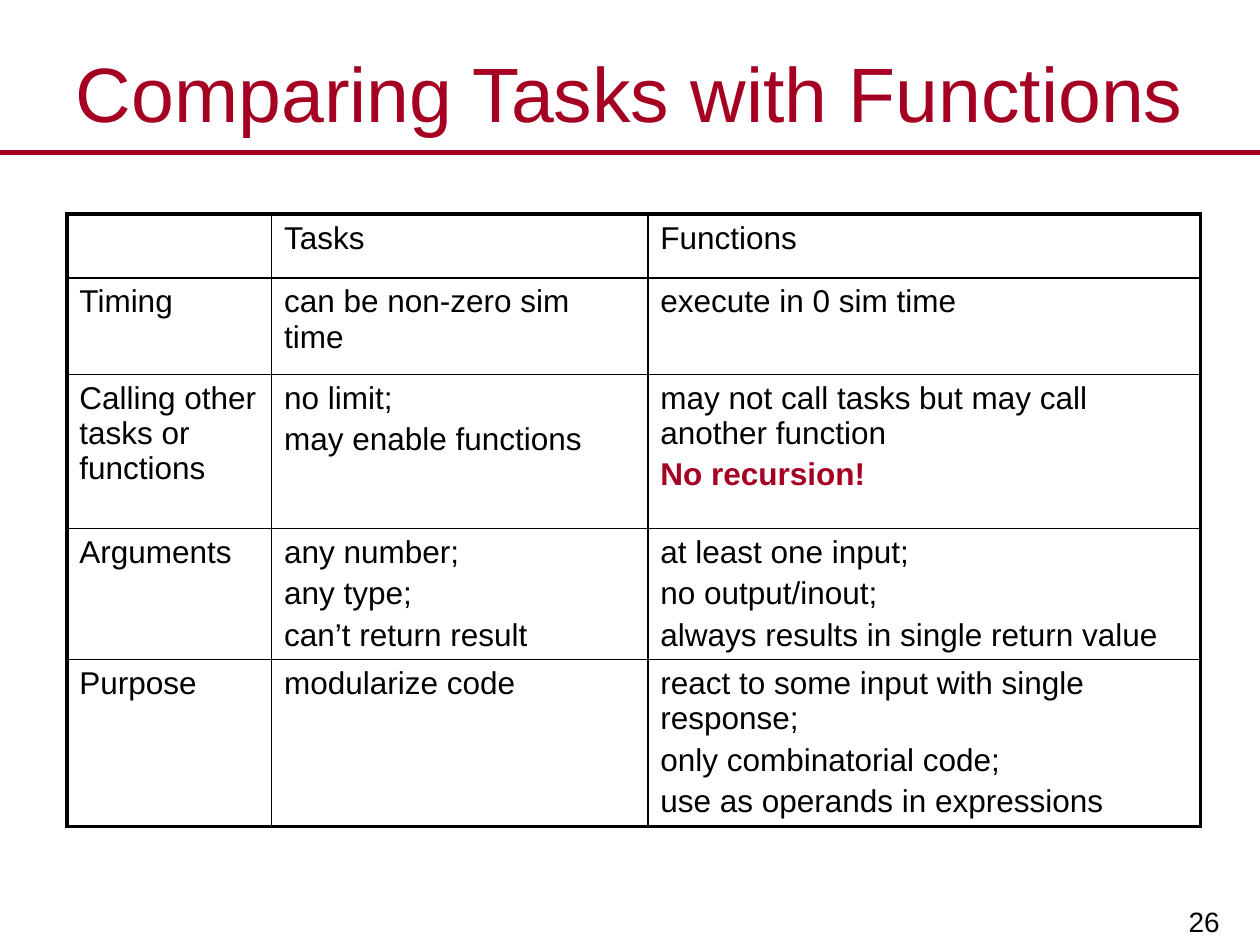
from lxml import etree
from pptx import Presentation, util as u
from pptx.dml.color import RGBColor
from pptx.enum import shapes, text
from pptx.oxml.ns import qn

RED, BLACK, WHITE = "A50021", "000000", "FFFFFF"
TITLE = "Comparing Tasks with Functions"
PAGE = "26"
ALERT = "No recursion!"
ROWS = [
    ("", "Tasks", "Functions"),
    ("Timing", "can be non-zero sim time", "execute in 0 sim time"),
    ("Calling other tasks or functions", "no limit;\nmay enable functions",
     "may not call tasks but may call another function\n" + ALERT),
    ("Arguments", "any number;\nany type;\ncan’t return result",
     "at least one input;\nno output/inout;\nalways results in single return value"),
    ("Purpose", "modularize code",
     "react to some input with single response;\nonly combinatorial code;\n"
     "use as operands in expressions"),
]
WIDTHS = [117, 215, 316]
HEIGHTS = [36.5, 55, 88, 74.5, 95.5]
BODY = {"size": u.Pt(18), "name": "Arial", "bold": False}


def tint(code):
    return RGBColor.from_string(code)


def style(para, hue, **form):
    for key, val in {**BODY, **form}.items():
        setattr(para.font, key, val)
    para.font.color.rgb = tint(hue)


def border(cell, sides):
    props = cell._tc.get_or_add_tcPr()
    for side, width in sides.items():
        line = etree.SubElement(props, qn("a:ln" + side), w=str(u.Pt(width)))
        fill = etree.SubElement(line, qn("a:solidFill"))
        etree.SubElement(fill, qn("a:srgbClr"), val=BLACK)


def write(cell, words):
    cell.text = words
    for num, para in enumerate(cell.text_frame.paragraphs):
        if num:
            para.space_before = u.Pt(3.6)
        alert = para.text == ALERT
        style(para, RED if alert else BLACK, bold=alert)


def grid(slide):
    size = len(ROWS), len(WIDTHS)
    frame = slide.shapes.add_table(*size, u.Pt(38.2), u.Pt(122.4),
                                   u.Pt(sum(WIDTHS)), u.Pt(sum(HEIGHTS)))
    table = frame.table
    table.first_row = table.horz_banding = False
    for col, width in zip(table.columns, WIDTHS):
        col.width = u.Pt(width)
    for r, (row, high) in enumerate(zip(ROWS, HEIGHTS)):
        table.rows[r].height = u.Pt(high)
        for c, words in enumerate(row):
            cell = table.cell(r, c)
            edges = {"L": c == 0, "R": c == size[1] - 1,
                     "T": r == 0, "B": r == size[0] - 1}
            border(cell, {k: 2.25 if edge else 1 for k, edge in edges.items()})
            cell.fill.solid()
            cell.fill.fore_color.rgb = tint(WHITE)
            write(cell, words)


def head(slide):
    rule = slide.shapes.add_connector(shapes.MSO_CONNECTOR.STRAIGHT,
                                      0, u.Pt(87), u.Pt(720), u.Pt(87))
    rule.line.width = u.Pt(3)
    rule.line.color.rgb = tint(RED)
    etree.SubElement(rule._element.spPr, qn("a:effectLst"))
    title = slide.shapes.title
    place = {"left": 0, "top": 21.6, "width": 720, "height": 62}
    for key, val in place.items():
        setattr(title, key, u.Pt(val))
    title.text = TITLE
    title.text_frame.vertical_anchor = text.MSO_ANCHOR.MIDDLE
    para = title.text_frame.paragraphs[0]
    para.alignment = text.PP_ALIGN.CENTER
    style(para, RED, size=u.Pt(44))


def foot(slide):
    box = slide.shapes.add_textbox(u.Pt(561.6), u.Pt(499), u.Pt(143.3), u.Pt(41))
    frame = box.text_frame
    form = {"text": PAGE, "word_wrap": True, "vertical_anchor": text.MSO_ANCHOR.BOTTOM,
            "margin_left": u.Pt(8), "margin_right": u.Pt(8),
            "margin_top": u.Pt(4), "margin_bottom": u.Pt(4)}
    for key, val in form.items():
        setattr(frame, key, val)
    para = frame.paragraphs[0]
    para.alignment = text.PP_ALIGN.RIGHT
    style(para, BLACK, size=u.Pt(16))


def main():
    """Build the slide that compares tasks with functions."""
    deck = Presentation()
    deck.slide_width, deck.slide_height = u.Pt(720), u.Pt(540)
    slide = deck.slides.add_slide(deck.slide_layouts[5])
    head(slide)
    grid(slide)
    foot(slide)
    deck.save("out.pptx")


if __name__ == "__main__":
    main()
